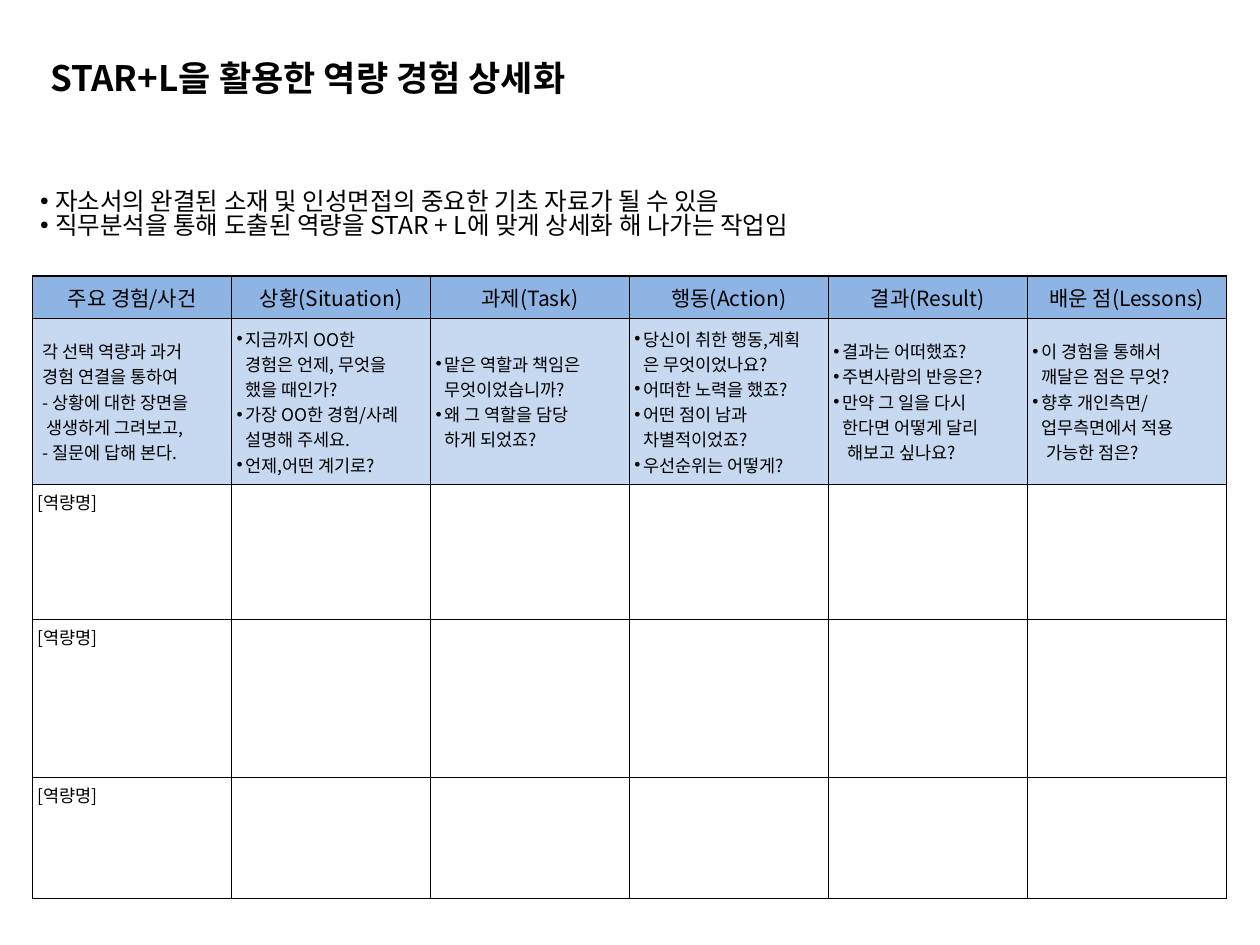
import pptx
import pptx.dml.color
import pptx.enum.text
import pptx.oxml
import pptx.oxml.ns
import pptx.util
from lxml import etree

Cm = pptx.util.Cm
Align = pptx.enum.text.PP_ALIGN
Anchor = pptx.enum.text.MSO_ANCHOR
FONT = "Noto Sans CJK KR"
BLACK, HEADER_BLUE, GUIDE_BLUE = "000000", "8EB4E3", "C6D9F1"

# Content: a leading "•" marks a bullet, ">" a continuation, ">>" a deeper one
TITLE = "STAR+L을 활용한 역량 경험 상세화"
INTRO = [
    "•자소서의 완결된 소재 및 인성면접의 중요한 기초 자료가 될 수 있음",
    "•직무분석을 통해 도출된 역량을 STAR + L에 맞게 상세화 해 나가는 작업임",
]
COLUMNS = [
    ("주요 경험/사건", ["-각 선택 역량과 과거", "-경험 연결을 통하여", "-- 상황에 대한 장면을",
                   ">생생하게 그려보고,", "-- 질문에 답해 본다."]),
    ("상황(Situation)", ["•지금까지 OO한", ">경험은 언제, 무엇을", ">했을 때인가?",
                       "•가장 OO한 경험/사례", ">설명해 주세요.", "•언제,어떤 계기로?"]),
    ("과제(Task)", ["•맡은 역할과 책임은", ">무엇이었습니까?",
                  "•왜 그 역할을 담당", ">하게 되었죠?"]),
    ("행동(Action)", ["•당신이 취한 행동,계획", ">은 무엇이었나요?", "•어떠한 노력을 했죠?",
                    "•어떤 점이 남과", ">차별적이었죠?", "•우선순위는 어떻게?"]),
    ("결과(Result)", ["•결과는 어떠했죠?", "•주변사람의 반응은?", "•만약 그 일을 다시",
                    ">한다면 어떻게 달리", ">>해보고 싶나요?"]),
    ("배운 점(Lessons)", ["•이 경험을 통해서", ">깨달은 점은 무엇?", "•향후 개인측면/",
                       ">업무측면에서 적용", ">>가능한 점은?"]),
]
COMPETENCY = "[역량명]"
ROW_HEIGHTS = [0.86, 3.35, 2.72, 3.18, 2.44]
COLUMN_WIDTH = 4.01
# Left margin of each kind of line, in cm
MARGINS = {">>": 0.28, ">": 0.18, "•": 0.18, "-": 0.1}


def color(value):
    return pptx.dml.color.RGBColor.from_string(value)


def add_child(parent, tag, **attributes):
    return etree.SubElement(parent, pptx.oxml.ns.qn(tag), attributes)


def write_lines(frame, lines, size, bold=False, align=Align.LEFT, spacing=None, hang=None):
    """Fill a text frame with one paragraph for each line."""
    for number, line in enumerate(lines):
        para = frame.paragraphs[0] if number == 0 else frame.add_paragraph()
        kind = next((mark for mark in MARGINS if line.startswith(mark)), "")
        para.text = line[len(kind):]
        para.alignment = align
        if spacing:
            para.line_spacing = spacing
        properties = para._p.get_or_add_pPr()
        margin = Cm(hang or MARGINS[kind]) if kind else 0
        properties.set("marL", str(margin))
        properties.set("indent", str(-margin if kind == "•" else 0))
        if kind == "•":
            add_child(properties, "a:buFont", typeface="Arial")
            add_child(properties, "a:buChar", char="•")
        else:
            add_child(properties, "a:buNone")
        font = para.font
        font.size, font.bold, font.name = pptx.util.Pt(size), bold, FONT
        font.color.rgb = color(BLACK)
        add_child(properties.find(pptx.oxml.ns.qn("a:defRPr")), "a:ea", typeface=FONT)


def add_text(left, top, width, height, lines, size, **style):
    box = page.shapes.add_textbox(Cm(left), Cm(top), Cm(width), Cm(height))
    box.text_frame.word_wrap = True
    write_lines(box.text_frame, lines, size, **style)


def style_cell(cell, fill):
    """Give a cell thin black borders, narrow margins and a fill."""
    properties = cell._tc.get_or_add_tcPr()
    for side in ("a:lnL", "a:lnR", "a:lnT", "a:lnB"):
        line = add_child(properties, side, w=str(pptx.util.Pt(1)))
        add_child(add_child(line, "a:solidFill"), "a:srgbClr", val=BLACK)
    cell.margin_left = cell.margin_right = cell.margin_top = cell.margin_bottom = Cm(0.1)
    if fill:
        cell.fill.solid()
        cell.fill.fore_color.rgb = color(fill)
        cell.vertical_anchor = Anchor.MIDDLE
    else:
        cell.fill.background()


deck = pptx.Presentation()
deck.slide_width, deck.slide_height = Cm(25.4), Cm(19.05)
page = deck.slides.add_slide(deck.slide_layouts[6])

# Title and introduction
add_text(0.76, 1.12, 17.6, 1.12, [TITLE], 20, bold=True, spacing=0.88)
add_text(0.56, 3.73, 24, 1.45, INTRO, 14, spacing=0.82, hang=0.3)

# Worksheet table
table = page.shapes.add_table(
    len(ROW_HEIGHTS), len(COLUMNS), Cm(0.66), Cm(5.56),
    Cm(COLUMN_WIDTH * len(COLUMNS)), Cm(sum(ROW_HEIGHTS))).table
table.first_row = table.horz_banding = False
for row, height in zip(table.rows, ROW_HEIGHTS):
    row.height = Cm(height)
for column in table.columns:
    column.width = Cm(COLUMN_WIDTH)
row_fills = [HEADER_BLUE, GUIDE_BLUE] + [None] * (len(ROW_HEIGHTS) - 2)
for row, fill in zip(table.rows, row_fills):
    for cell in row.cells:
        style_cell(cell, fill)
for index, (heading, guide) in enumerate(COLUMNS):
    write_lines(table.cell(0, index).text_frame, [heading], 12, align=Align.CENTER)
    write_lines(table.cell(1, index).text_frame, guide, 10)
for index in range(2, len(ROW_HEIGHTS)):
    write_lines(table.cell(index, 0).text_frame, [COMPETENCY], 10)

deck.save("out.pptx")
